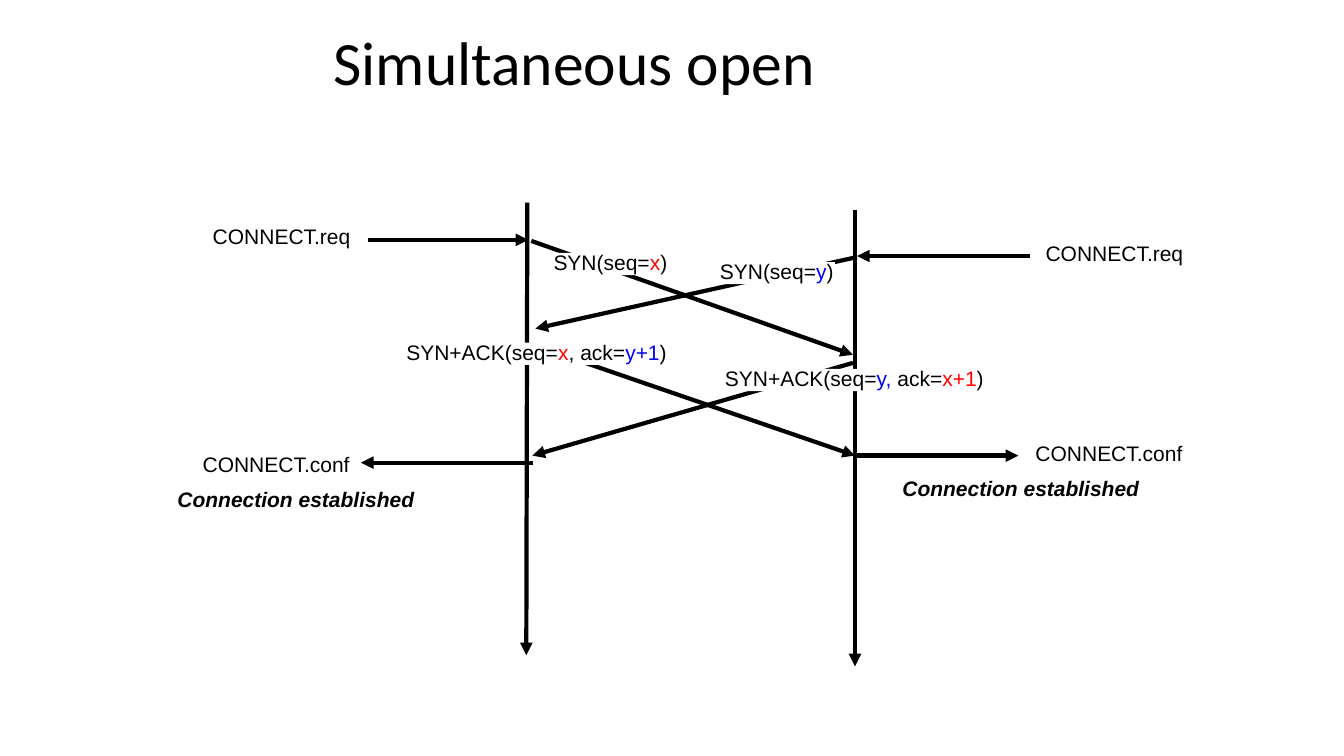
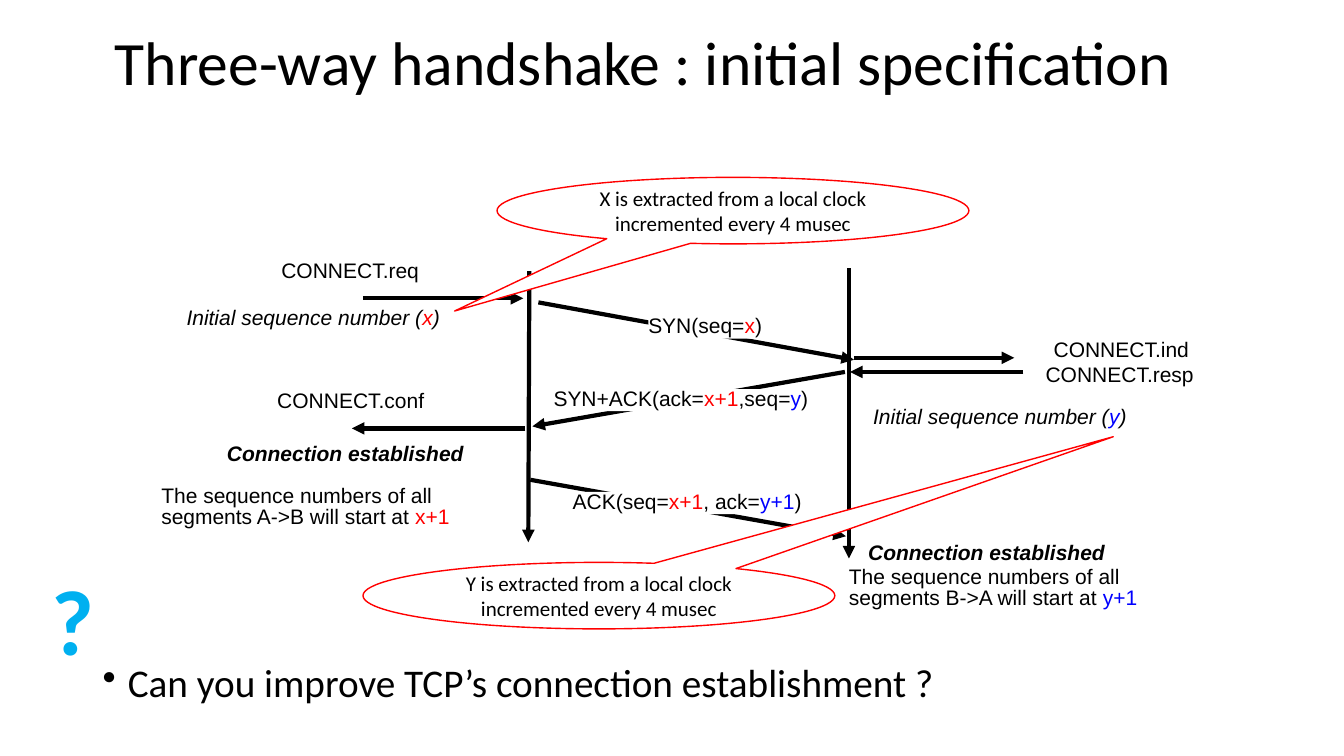
"""Build two slides on how TCP connections are opened."""
from lxml.etree import SubElement
from pptx import Presentation
from pptx.dml.color import RGBColor
from pptx.enum.shapes import MSO_CONNECTOR, MSO_SHAPE
from pptx.enum.text import MSO_ANCHOR, MSO_AUTO_SIZE, PP_ALIGN
from pptx.oxml.ns import qn
from pptx.util import Inches, Pt

BLACK = RGBColor(0x00, 0x00, 0x00)
WHITE = RGBColor(0xFF, 0xFF, 0xFF)
RED = RGBColor(0xFF, 0x00, 0x00)
BLUE = RGBColor(0x00, 0x00, 0xFF)
CYAN = RGBColor(0x00, 0xB0, 0xF0)

PLAIN = {}
MESSAGE = {"fill": WHITE}
ITALIC = {"italic": True}
ESTABLISHED = {"bold": True, "italic": True, "spacing": 0.97}

SLIDES = [
    {
        "title": ("Simultaneous open", 3.21, 8.14),
        "arrows": [
            (5.23, 2.01, 5.22, 6.5), (8.48, 2.08, 8.48, 6.61),
            (8.5, 4.52, 10.1, 4.52), (8.5, 2.55, 5.31, 3.26),
            (10.22, 2.54, 8.5, 2.54), (5.27, 2.39, 8.46, 3.52),
            (3.65, 2.38, 5.24, 2.38), (5.29, 4.59, 3.58, 4.59),
            (8.46, 3.6, 5.28, 4.52), (5.37, 3.45, 8.48, 4.52),
        ],
        "labels": [
            ("CONNECT.req", 2.11, 2.25, 1.38, 0.22, PLAIN),
            ("CONNECT.req", 10.37, 2.42, 1.38, 0.22, PLAIN),
            ("SYN(seq=|x|)", 5.49, 2.51, 1.14, 0.22, MESSAGE),
            ("SYN(seq=|y|)", 7.14, 2.6, 1.14, 0.22, MESSAGE),
            ("SYN+ACK(seq=|x|, ack=|y+1|)", 4.03, 3.4, 2.61, 0.22, MESSAGE),
            ("SYN+ACK(seq=|y, |ack=|x+1|)", 7.19, 3.66, 2.59, 0.22, MESSAGE),
            ("CONNECT.conf", 2.01, 4.51, 1.47, 0.22, PLAIN),
            ("CONNECT.conf", 10.27, 4.41, 1.47, 0.22, PLAIN),
            ("Connection established", 1.76, 4.84, 2.42, 0.25, ESTABLISHED),
            ("Connection established", 8.95, 4.73, 2.42, 0.25, ESTABLISHED),
        ],
    },
    {
        "title": ("Three-way handshake : initial specification", 1.04, 11.17),
        "arrows": [
            (5.25, 2.69, 5.24, 5.38), (8.42, 2.66, 8.42, 5.54),
            (5.26, 4.76, 8.39, 5.32), (3.6, 2.96, 5.19, 2.96),
            (8.47, 3.55, 10.06, 3.55), (8.38, 3.69, 5.28, 4.23),
            (10.15, 3.69, 8.43, 3.69), (5.21, 4.25, 3.49, 4.25),
            (5.34, 3, 8.47, 3.57),
        ],
        "labels": [
            ("CONNECT.req", 2.79, 2.59, 1.38, 0.22, PLAIN),
            ("Initial sequence number (|x|)", 1.85, 3.06, 2.62, 0.22, ITALIC),
            ("SYN(seq=|x|)", 6.43, 3.14, 1.14, 0.22, MESSAGE),
            ("CONNECT.ind", 10.45, 3.37, 1.36, 0.22, PLAIN),
            ("CONNECT.resp", 10.37, 3.62, 1.49, 0.22, PLAIN),
            ("SYN+ACK(ack=|x+1|,seq=|y|)", 5.49, 3.86, 2.55, 0.22, MESSAGE),
            ("Initial sequence number (|y|)", 8.66, 4.04, 2.62, 0.22, ITALIC),
            ("CONNECT.conf", 2.75, 3.88, 1.47, 0.22, PLAIN),
            ("Connection established", 2.25, 4.38, 2.42, 0.25, ESTABLISHED),
            ("ACK(seq=|x+1|, ack=|y+1|)", 5.68, 4.88, 2.29, 0.22, MESSAGE),
            ("The sequence numbers of all\nsegments A->B will start at |x+1|",
             1.6, 4.82, 2.97, 0.44, PLAIN),
            ("Connection established", 8.61, 5.36, 2.42, 0.25, ESTABLISHED),
            ("The sequence numbers of all\nsegments B->A will start at |y+1|",
             8.42, 5.62, 2.97, 0.44, PLAIN),
        ],
        "callouts": [
            ("X is extracted from a local clock incremented every 4 musec",
             4.93, 1.76, (-0.59, 1.51)),
            ("Y is extracted from a local clock incremented every 4 musec",
             3.6, 5.58, (1.09, -2.39)),
        ],
        "question": "Can you improve TCP’s connection establishment ?",
    },
]


def set_insets(tf, across, down):
    tf.margin_left = tf.margin_right = Inches(across)
    tf.margin_top = tf.margin_bottom = Inches(down)


def style_paragraph(p, size, font="Calibri", color=BLACK, spacing=1.0, align=PP_ALIGN.LEFT):
    p.alignment = align
    p.line_spacing = spacing
    p.font.size = Pt(size)
    p.font.name = font
    p.font.color.rgb = color


def add_text(s, text, x, y, w, h, size, anchor=MSO_ANCHOR.TOP, wrap=True, **style):
    box = s.shapes.add_textbox(Inches(x), Inches(y), Inches(w), Inches(h))
    tf = box.text_frame
    tf.word_wrap = wrap
    tf.vertical_anchor = anchor
    p = tf.paragraphs[0]
    p.text = text
    style_paragraph(p, size, **style)
    return p


def add_arrow(s, x1, y1, x2, y2):
    arrow = s.shapes.add_connector(
        MSO_CONNECTOR.STRAIGHT, Inches(x1), Inches(y1), Inches(x2), Inches(y2))
    arrow.line.color.rgb = BLACK
    arrow.line.width = Pt(3)
    SubElement(arrow.line._get_or_add_ln(), qn("a:tailEnd"), type="triangle")
    SubElement(arrow._element.spPr, qn("a:effectLst"))


def add_label(s, text, x, y, w, h, look):
    """Write a label whose parts between bars are red for x and blue for y."""
    box = s.shapes.add_textbox(Inches(x), Inches(y), Inches(w), Inches(h))
    if "fill" in look:
        box.fill.solid()
        box.fill.fore_color.rgb = look["fill"]
    tf = box.text_frame
    tf.word_wrap = False
    tf.auto_size = MSO_AUTO_SIZE.SHAPE_TO_FIT_TEXT
    tf.vertical_anchor = MSO_ANCHOR.MIDDLE
    set_insets(tf, 0, 0)
    p = tf.paragraphs[0]
    style_paragraph(p, 15, "Arial", spacing=look.get("spacing", 0.84))
    p.font.bold = look.get("bold", False)
    p.font.italic = look.get("italic", False)
    for i, part in enumerate(text.split("|")):
        for j, line in enumerate(part.split("\n")):
            if j:
                p.add_line_break()
            r = p.add_run()
            r.text = line
            if i % 2:
                r.font.color.rgb = RED if part.startswith("x") else BLUE


def add_callout(s, text, x, y, tip):
    sp = s.shapes.add_shape(
        MSO_SHAPE.OVAL_CALLOUT, Inches(x), Inches(y), Inches(4.68), Inches(0.66))
    sp.shadow.inherit = False
    sp.adjustments[0], sp.adjustments[1] = tip
    sp.fill.solid()
    sp.fill.fore_color.rgb = WHITE
    sp.line.color.rgb = RED
    sp.line.width = Pt(1)
    tf = sp.text_frame
    tf.word_wrap = True
    tf.vertical_anchor = MSO_ANCHOR.MIDDLE
    set_insets(tf, 0.07, 0.04)
    p = tf.paragraphs[0]
    p.text = text
    style_paragraph(p, 15, align=PP_ALIGN.CENTER)


def add_question(s, text):
    p = add_text(s, text, 0.92, 6.53, 11.5, 0.57, 28, spacing=0.9)
    pPr = p._p.get_or_add_pPr()
    pPr.set("marL", str(Inches(0.25)))
    pPr.set("indent", str(-Inches(0.25)))
    bullet = pPr.makeelement(qn("a:buChar"), {"char": "•"})
    pPr.find(qn("a:defRPr")).addprevious(bullet)
    mark = add_text(s, "?", 0.41, 5.54, 0.63, 1.21, 66, wrap=False,
                    color=CYAN, align=PP_ALIGN.CENTER)
    mark.font.bold = True


def build_slide(prs, content):
    s = prs.slides.add_slide(prs.slide_layouts[6])
    title, x, w = content["title"]
    add_text(s, title, x, 0, w, 1.32, 44, MSO_ANCHOR.MIDDLE, spacing=0.84)
    for arrow in content["arrows"]:
        add_arrow(s, *arrow)
    for label in content["labels"]:
        add_label(s, *label)
    for callout in content.get("callouts", []):
        add_callout(s, *callout)
    if "question" in content:
        add_question(s, content["question"])


def main():
    prs = Presentation()
    prs.slide_width = Inches(13.33)
    prs.slide_height = Inches(7.5)
    for content in SLIDES:
        build_slide(prs, content)
    prs.save("out.pptx")


if __name__ == "__main__":
    main()
